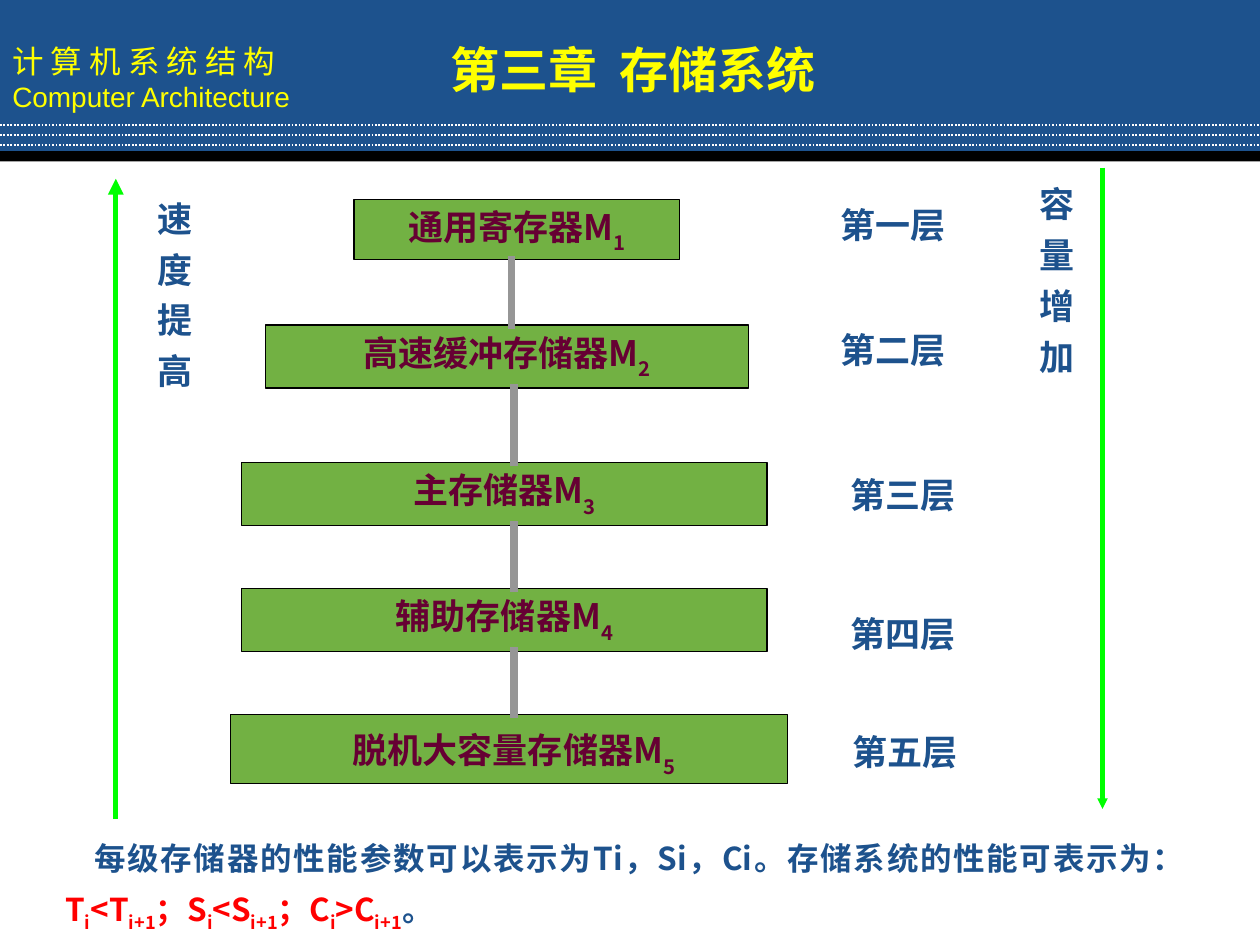
from dataclasses import dataclass

from lxml.etree import SubElement
from pptx import Presentation
from pptx.dml.color import RGBColor
from pptx.enum.dml import MSO_LINE_DASH_STYLE as Dash
from pptx.enum.shapes import MSO_CONNECTOR as Connector
from pptx.enum.shapes import MSO_SHAPE as Shape
from pptx.enum.text import MSO_ANCHOR as Anchor
from pptx.enum.text import PP_ALIGN as Align
from pptx.oxml.ns import qn
from pptx.util import Pt

BLUE, YELLOW, GREEN, RED = "1D528D", "FFFF00", "72B143", "FF0000"
MAROON, GREY, LIME, BLACK, WHITE = "660033", "969696", "00FF00", "000000", "FFFFFF"
CJK = "Noto Sans CJK SC"


@dataclass
class Box:
    left: float
    top: float
    width: float
    height: float


@dataclass
class Level:
    name: str
    box: Box
    label: str
    label_left: float
    label_top: float
    inset_left: float = 7.2
    inset_top: float = 3.6


@dataclass
class Trend:
    text: str
    box: Box
    x: float
    start: float
    end: float
    head: str


LEVELS = [
    Level("通用寄存器M", Box(202.3, 113.8, 185.8, 34.6), "第一层", 473, 113),
    Level("高速缓冲存储器M", Box(151.9, 185.8, 275.8, 36), "第二层", 473, 184.3),
    Level("主存储器M", Box(138.2, 264.2, 300.2, 36), "第三层", 478.8, 267.1),
    Level("辅助存储器M", Box(138.2, 336.2, 300.2, 36), "第四层", 478.8, 346.3),
    Level("脱机大容量存储器M", Box(131.8, 408.2, 318.2, 39.6), "第五层", 480.2, 414, 12.6, 8.2),
]
TRENDS = [
    Trend("速度提高", Box(77, 108, 38.2, 180), 66.2, 468, 102.2, "med"),
    Trend("容量增加", Box(576, 99.5, 43.2, 180), 630, 95.8, 462.2, "sm"),
]
RELATIONS = [("T", "<"), ("S", "<"), ("C", ">")]


def colour(value: str) -> RGBColor:
    return RGBColor.from_string(value)


def add_rectangle(slide, box: Box, fill: str, outline: str | None = None):
    shape = slide.shapes.add_shape(
        Shape.RECTANGLE, Pt(box.left), Pt(box.top), Pt(box.width), Pt(box.height))
    shape.shadow.inherit = False
    shape.fill.solid()
    shape.fill.fore_color.rgb = colour(fill)
    if outline:
        shape.line.color.rgb = colour(outline)
        shape.line.width = Pt(0.75)
    else:
        shape.line.fill.background()
    return shape


def add_text_box(slide, box: Box):
    return slide.shapes.add_textbox(
        Pt(box.left), Pt(box.top), Pt(box.width), Pt(box.height))


def add_line(slide, start: tuple[float, float], end: tuple[float, float], stroke: str, width: float):
    line = slide.shapes.add_connector(
        Connector.STRAIGHT, *(Pt(value) for value in start + end))
    line.line.color.rgb = colour(stroke)
    line.line.width = Pt(width)
    SubElement(line._element.spPr, qn("a:effectLst"))
    return line


def first_paragraph(shape, align=Align.LEFT, anchor=Anchor.TOP):
    frame = shape.text_frame
    frame.word_wrap = True
    frame.vertical_anchor = anchor
    paragraph = frame.paragraphs[0]
    paragraph.alignment = align
    return paragraph


def write(paragraph, text: str, *, size: float = 20, fill: str = BLUE, font: str = CJK,
          bold: bool = True, baseline: int = 0, spacing: float = 0) -> None:
    run = paragraph.add_run()
    run.text = text
    run.font.size = Pt(size)
    run.font.bold = bold
    run.font.name = font
    run.font.color.rgb = colour(fill)
    properties = run._r.get_or_add_rPr()
    SubElement(properties, qn("a:ea")).set("typeface", font)
    if baseline:
        properties.set("baseline", str(baseline * 1000))
    if spacing:
        properties.set("spc", str(round(spacing * 100)))


def add_header(slide) -> None:
    banner = add_rectangle(slide, Box(0, 0, 720, 88.6), BLUE)
    paragraph = first_paragraph(banner, anchor=Anchor.MIDDLE)
    write(paragraph, "计 算 机 系 统 结 构", size=18, fill=YELLOW, bold=False)
    paragraph = banner.text_frame.add_paragraph()
    paragraph.alignment = Align.LEFT
    write(paragraph, "Computer Architecture", size=16, fill=YELLOW, font="Arial", bold=False)
    add_rectangle(slide, Box(0, 86.4, 720, 5.8), BLACK)
    for index in range(3):
        y = 71.3 + index * 5.76
        line = add_line(slide, (0, y), (720, y), WHITE, 1)
        line.line.dash_style = Dash.ROUND_DOT
    title = add_rectangle(slide, Box(231.8, 13, 259.9, 46.8), BLUE)
    paragraph = first_paragraph(title, Align.CENTER, Anchor.BOTTOM)
    write(paragraph, "第三章", size=28, fill=YELLOW)
    write(paragraph, " ", size=28, fill=YELLOW, spacing=6.3)
    write(paragraph, "存储系统", size=28, fill=YELLOW)


def add_level(slide, number: int, level: Level) -> None:
    shape = add_rectangle(slide, level.box, GREEN, BLACK)
    shape.text_frame.margin_left = Pt(level.inset_left)
    shape.text_frame.margin_top = Pt(level.inset_top)
    paragraph = first_paragraph(shape, Align.CENTER)
    write(paragraph, level.name, fill=MAROON)
    write(paragraph, str(number), fill=MAROON, baseline=-30)
    label = add_text_box(slide, Box(level.label_left, level.label_top, 90, 31.7))
    write(first_paragraph(label), level.label)


def add_link(slide, upper: Box, lower: Box, x: float) -> None:
    link = add_line(slide, (x, upper.top + upper.height), (x, lower.top), GREY, 4.5)
    link.line._get_or_add_ln().set("cap", "sq")


def add_trend(slide, trend: Trend) -> None:
    arrow = add_line(slide, (trend.x, trend.start), (trend.x, trend.end), LIME, 3)
    head = SubElement(arrow.line._get_or_add_ln(), qn("a:tailEnd"))
    for name, value in (("type", "triangle"), ("w", trend.head), ("len", trend.head)):
        head.set(name, value)
    shape = add_text_box(slide, trend.box)
    frame = shape.text_frame
    frame.margin_left = frame.margin_right = Pt(3.6)
    frame.margin_top = frame.margin_bottom = Pt(7.2)
    frame._txBody.bodyPr.set("vert", "eaVert")
    paragraph = first_paragraph(shape, Align.CENTER)
    write(paragraph, trend.text[:-1], spacing=9)
    write(paragraph, trend.text[-1])


def add_summary(slide) -> None:
    shape = add_text_box(slide, Box(30.2, 462.2, 653.8, 77))
    shape.text_frame.margin_top = Pt(11)
    paragraph = first_paragraph(shape, Align.JUSTIFY)
    paragraph.line_spacing = 1.3
    paragraph._p.get_or_add_pPr().set("indent", str(Pt(16.5)))
    write(paragraph, "每级存储器的性能参数可以表示为Ti，Si，Ci。存储系统的性能可表示为：", size=18)
    for index, (symbol, sign) in enumerate(RELATIONS):
        write(paragraph, ("；" if index else "") + symbol, size=18, fill=RED)
        write(paragraph, "i", size=18, fill=RED, baseline=-25)
        write(paragraph, sign + symbol, size=18, fill=RED)
        write(paragraph, "i+1", size=18, fill=RED, baseline=-25)
    write(paragraph, "。", size=18)


def main() -> None:
    presentation = Presentation()
    presentation.slide_width, presentation.slide_height = Pt(720), Pt(540)
    slide = presentation.slides.add_slide(presentation.slide_layouts[6])
    add_header(slide)
    for number, level in enumerate(LEVELS, 1):
        add_level(slide, number, level)
    for index, (upper, lower) in enumerate(zip(LEVELS, LEVELS[1:])):
        add_link(slide, upper.box, lower.box, 293.8 if index else 292.3)
    for trend in TRENDS:
        add_trend(slide, trend)
    add_summary(slide)
    presentation.save("out.pptx")


if __name__ == "__main__":
    main()
